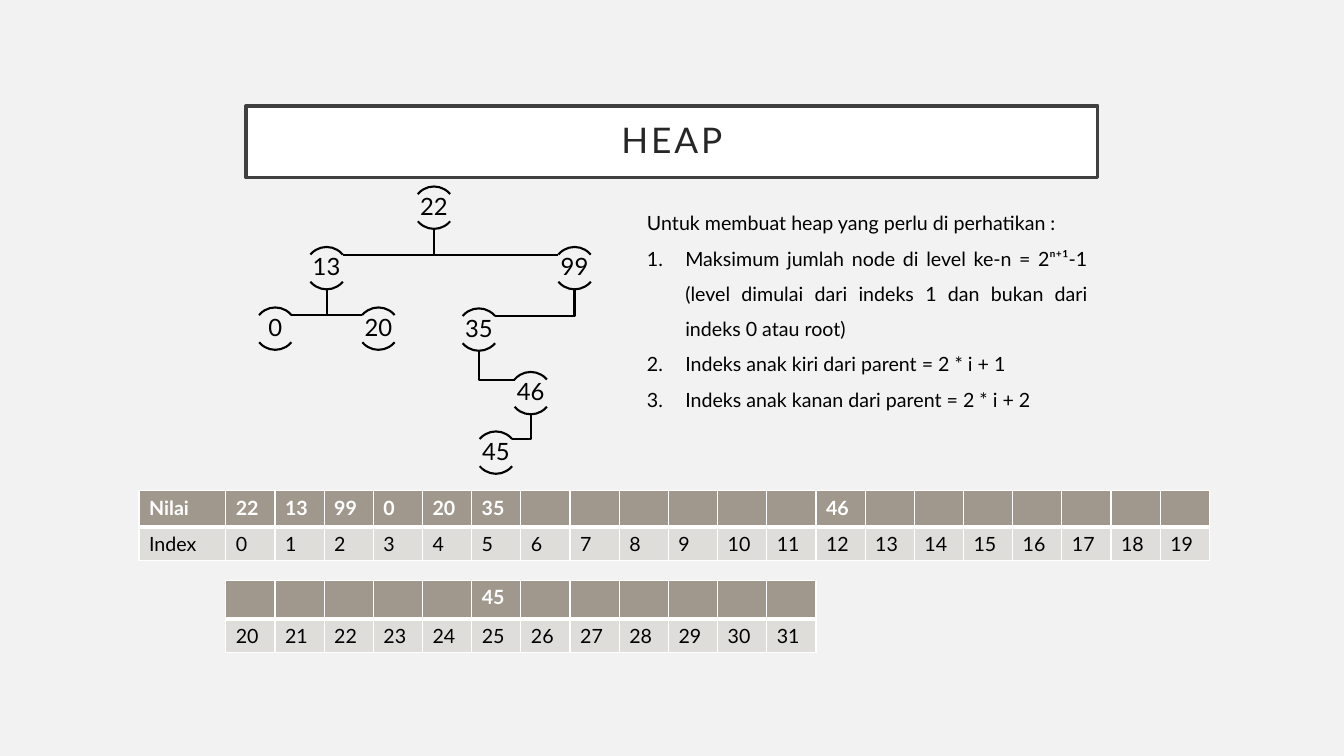
from dataclasses import dataclass

from lxml.etree import SubElement
from pptx import Presentation
from pptx.dml.color import RGBColor as RGB
from pptx.enum.shapes import MSO_SHAPE as SHAPE
from pptx.enum.text import MSO_ANCHOR as ANCHOR, PP_ALIGN as ALIGN
from pptx.oxml.ns import qn
from pptx.util import Inches, Pt


@dataclass(frozen=True)
class Theme:
    font: str = "Lato"
    back: str = "F2F2F2"
    white: str = "FFFFFF"
    black: str = "000000"
    frame: str = "404040"
    title: str = "262626"
    head: str = "A0988C"
    row: str = "DFDDDA"
    title_size: float = 25.2
    node_size: float = 17
    body_size: float = 14


T = Theme()
W, H = Inches(13.33), Inches(7.5)

# Tree nodes: value -> (centre x, top y, parent), in percent of the slide
NODES = {
    "22": (32.29, 24.67, None),
    "13": (24.3, 32.67, "22"),
    "0": (20.48, 40.67, "13"),
    "20": (28.16, 40.67, "13"),
    "99": (42.75, 32.67, "22"),
    "35": (35.63, 40.8, "99"),
    "46": (39.49, 49.2, "35"),
    "45": (36.9, 57.07, "46"),
}
NODE_W, NODE_H = 3.15, 5.6
ARCS = ((132, 192), (24, 84))  # top and bottom, in 100000ths of angle units

# Heap array: index -> value
HEAP = {0: "22", 1: "13", 2: "99", 3: "0", 4: "20", 5: "35", 12: "46", 25: "45"}
LABEL_W, CELL_W = 6.45, 3.66
TABLE_X = 10.35

INTRO = "Untuk membuat heap yang perlu di perhatikan :"
RULES = (
    "Maksimum jumlah node di level ke-n = 2ⁿ⁺¹-1 "
    "(level dimulai dari indeks 1 dan bukan dari indeks 0 atau root)",
    "Indeks anak kiri dari parent = 2 * i + 1",
    "Indeks anak kanan dari parent = 2 * i + 2",
)


def px(share):
    return round(W * share / 100)


def py(share):
    return round(H * share / 100)


def box(x, y, w, h):
    return px(x), py(y), px(w), py(h)


def color(value):
    return RGB.from_string(value)


def add_run(p, text, size, tint=T.black, bold=False):
    r = p.add_run()
    r.text = text
    f = r.font
    f.name, f.size, f.bold = T.font, Pt(size), bold
    f.color.rgb = color(tint)
    return r


def outline(sp, tint=T.black, width=1.5):
    sp.shadow.inherit = False
    sp.line.color.rgb = color(tint)
    sp.line.width = Pt(width)


def set_margins(tf, inches):
    tf.margin_left = tf.margin_right = Inches(inches)
    tf.margin_top = tf.margin_bottom = Inches(inches)


def add_title(s, text):
    sp = s.shapes.add_shape(SHAPE.RECTANGLE, *box(18.3, 14, 63.38, 9.47))
    outline(sp, T.frame, 2.5)
    sp.fill.solid()
    sp.fill.fore_color.rgb = color(T.white)
    tf = sp.text_frame
    set_margins(tf, 0.2)
    tf.vertical_anchor = ANCHOR.MIDDLE
    p = tf.paragraphs[0]
    p.alignment, p.line_spacing = ALIGN.CENTER, 0.9
    r = add_run(p, text, T.title_size, T.title)
    r.font._element.set("spc", "200")


def add_link(s, parent, child):
    """Elbow from the foot of the parent to the near side of the child."""
    (x1, y1, _), (x2, y2, _) = NODES[parent], NODES[child]
    end_x = px(x2 + (1.2 if x2 < x1 else -1.2))
    end_y = py(y2 + 1.05)
    fb = s.shapes.build_freeform(px(x1), py(y1 + NODE_H))
    fb.add_line_segments([(px(x1), end_y), (end_x, end_y)], close=False)
    sp = fb.convert_to_shape()
    sp.fill.background()
    outline(sp)


def add_node(s, value):
    x, y, _ = NODES[value]
    for start, end in ARCS:
        arc = s.shapes.add_shape(SHAPE.ARC, *box(x - NODE_W / 2, y, NODE_W, NODE_H))
        arc.adjustments[0], arc.adjustments[1] = start, end
        arc.fill.background()
        outline(arc)
    tf = s.shapes.add_textbox(*box(x - 3.19, y + 1, 6.38, 3.6)).text_frame
    tf.word_wrap = True
    set_margins(tf, 0.01)
    tf.vertical_anchor = ANCHOR.MIDDLE
    p = tf.paragraphs[0]
    p.alignment, p.line_spacing = ALIGN.CENTER, 0.9
    add_run(p, value, T.node_size)


def add_border(cell, side, width):
    ln = SubElement(cell._tc.get_or_add_tcPr(), qn(f"a:ln{side}"), w=str(Pt(width)))
    fill = SubElement(ln, qn("a:solidFill"))
    SubElement(fill, qn("a:srgbClr"), val=T.white)


def fill_cell(cell, text, is_head):
    for side in "LRTB":
        thick = side == ("B" if is_head else "T")
        add_border(cell, side, 3 if thick else 1)
    cell.fill.solid()
    cell.fill.fore_color.rgb = color(T.head if is_head else T.row)
    p = cell.text_frame.paragraphs[0]
    if text:
        add_run(p, text, T.body_size, T.white if is_head else T.black, is_head)
    else:
        SubElement(p._p, qn("a:endParaRPr"), sz=str(T.body_size * 100))


def add_array(s, x, y, heights, indexes, labels=()):
    """Values over indexes, with an optional column of row labels."""
    rows = [[HEAP.get(i, "") for i in indexes], [str(i) for i in indexes]]
    widths = [CELL_W] * len(indexes)
    if labels:
        rows = [[label, *row] for label, row in zip(labels, rows)]
        widths.insert(0, LABEL_W)
    frame = box(x, y, sum(widths), sum(heights))
    tbl = s.shapes.add_table(len(rows), len(widths), *frame).table
    tbl.first_row = tbl.horz_banding = False
    for col, width in zip(tbl.columns, widths):
        col.width = px(width)
    for i, (row, height) in enumerate(zip(rows, heights)):
        tbl.rows[i].height = py(height)
        for j, text in enumerate(row):
            fill_cell(tbl.cell(i, j), text, i == 0)


def add_notes_on_heap(s):
    tf = s.shapes.add_textbox(*box(47.4, 25.73, 34.28, 29.07)).text_frame
    tf.word_wrap = True
    for i, text in enumerate((INTRO, *RULES)):
        p = tf.add_paragraph() if i else tf.paragraphs[0]
        p.alignment, p.line_spacing = ALIGN.JUSTIFY, 1.5
        if i:
            pr = p._p.get_or_add_pPr()
            pr.set("marL", str(Inches(0.38)))
            pr.set("indent", str(-Inches(0.38)))
            SubElement(pr, qn("a:buFont"), typeface="+mj-lt")
            SubElement(pr, qn("a:buAutoNum"), type="arabicPeriod")
        add_run(p, text, T.body_size)


def main():
    prs = Presentation()
    prs.slide_width, prs.slide_height = W, H
    s = prs.slides.add_slide(prs.slide_layouts[6])
    s.background.fill.solid()
    s.background.fill.fore_color.rgb = color(T.back)

    add_title(s, "HEAP")

    # Tree: links behind, nodes in front
    for value, (_, _, parent) in NODES.items():
        if parent:
            add_link(s, parent, value)
    for value in NODES:
        add_node(s, value)

    # Array, split over two tables with aligned cells
    add_array(s, TABLE_X, 64.93, (4.8, 3.87), range(20), ("Nilai", "Index"))
    add_array(s, TABLE_X + LABEL_W, 76.8, (5.07, 4.13), range(20, 32))

    add_notes_on_heap(s)
    prs.save("out.pptx")


main()
